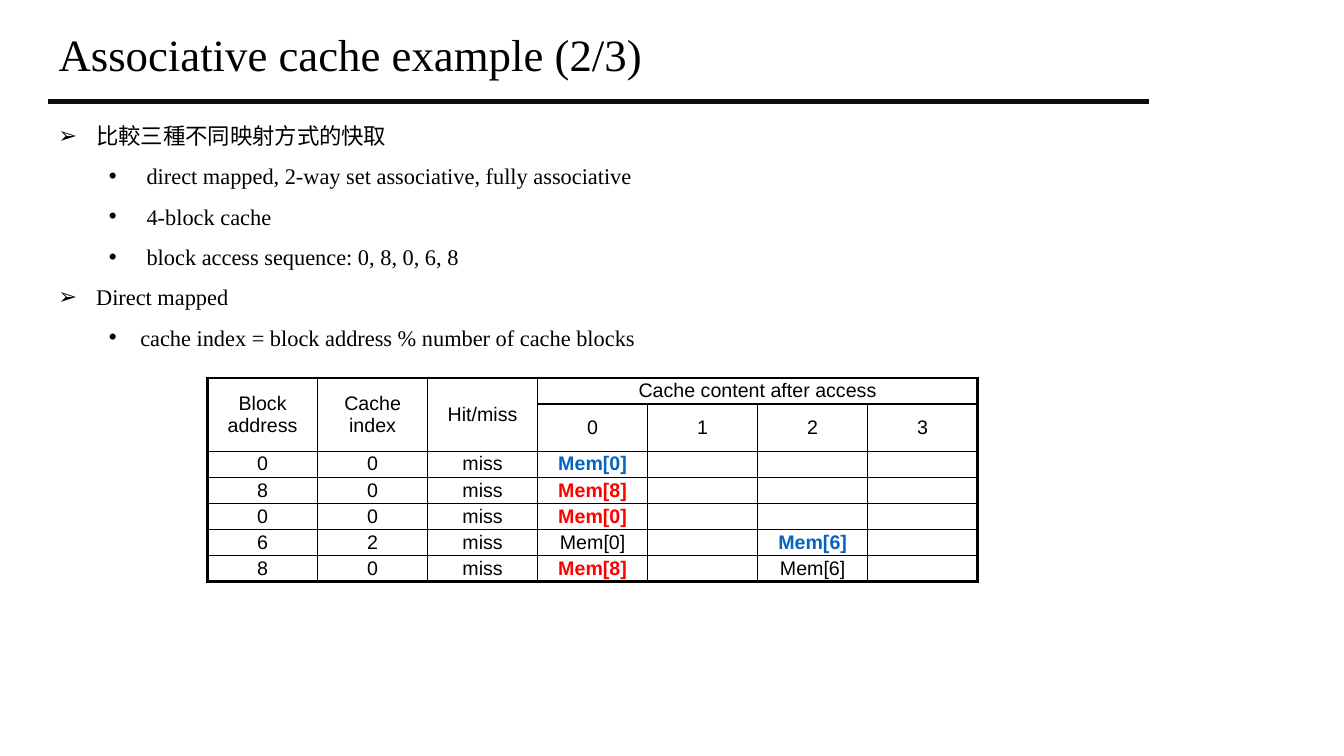
from lxml import etree
from pptx import Presentation
from pptx.dml.color import RGBColor
from pptx.enum.shapes import MSO_CONNECTOR
from pptx.enum.text import MSO_ANCHOR, MSO_AUTO_SIZE, PP_ALIGN
from pptx.oxml.ns import qn
from pptx.util import Pt

LINE = MSO_CONNECTOR.STRAIGHT
MID = MSO_ANCHOR.MIDDLE
GROW, FIXED = MSO_AUTO_SIZE.SHAPE_TO_FIT_TEXT, MSO_AUTO_SIZE.NONE
LEFT, CENTER = PP_ALIGN.LEFT, PP_ALIGN.CENTER
BLACK = RGBColor(0, 0, 0)
INK = RGBColor(0x0C, 0x0C, 0x0C)
BLUE = RGBColor(0x05, 0x63, 0xC1)
RED = RGBColor(0xFF, 0, 0)

POINTS = [
    ("比較三種不同映射方式的快取", 0, 27, 27),
    ("direct mapped, 2-way set associative, fully associative", 1, 63, 27),
    ("4-block cache", 1, 63, 27),
    ("block access sequence: 0, 8, 0, 6, 8", 1, 63, 27),
    ("Direct mapped", 0, 27, 27),
    ("cache index = block address % number of cache blocks", 1, 58.5, 22.5),
]
ROWS = [
    ["Block address", "Cache index", "Hit/miss", "Cache content after access", "", "", ""],
    ["", "", "", "0", "1", "2", "3"],
    ["0", "0", "miss", "Mem[0]", "", "", ""],
    ["8", "0", "miss", "Mem[8]", "", "", ""],
    ["0", "0", "miss", "Mem[0]", "", "", ""],
    ["6", "2", "miss", "Mem[0]", "", "Mem[6]", ""],
    ["8", "0", "miss", "Mem[8]", "", "Mem[6]", ""],
]
SPANS = [(0, 0, 1, 0), (0, 1, 1, 1), (0, 2, 1, 2), (0, 3, 0, 6)]
MARKS = {(2, 3): BLUE, (3, 3): RED, (4, 3): RED, (5, 5): BLUE, (6, 3): RED}


def put(item, **vals):
    for key, val in vals.items():
        setattr(item, key, val)


class Deck:
    """Holds the text style and the current slide."""

    def __init__(self, wide, high):
        self.prs = Presentation()
        put(self.prs, slide_width=Pt(wide), slide_height=Pt(high))
        self.slide = self.prs.slides.add_slide(self.prs.slide_layouts[5])
        self.serif = {"name": "Times New Roman", "bold": False}
        self.sans = {"name": "Arial", "bold": False}

    def label(self, para, text, size, face, color=BLACK):
        run = para.add_run()
        run.text = text
        put(run.font, size=Pt(size), **face)
        run.font.color.rgb = color

    def title(self, text, left, top, wide, high):
        shape = self.slide.shapes.title
        put(shape, left=Pt(left), top=Pt(top), width=Pt(wide), height=Pt(high))
        put(shape.text_frame, vertical_anchor=MID, word_wrap=True, auto_size=FIXED)
        para = shape.text_frame.paragraphs[0]
        put(para, alignment=LEFT, line_spacing=0.9)
        self.label(para, text, 32, self.serif)

    def rule(self, left, top, right):
        line = self.slide.shapes.add_connector(LINE, Pt(left), Pt(top), Pt(right), Pt(top))
        line.line.width = Pt(3.75)
        line.line.color.rgb = INK
        etree.SubElement(line._element.spPr, qn("a:effectLst"))

    def bullets(self, points, left, top, wide, high):
        box = self.slide.shapes.add_textbox(Pt(left), Pt(top), Pt(wide), Pt(high))
        frame = box.text_frame
        put(frame, word_wrap=True, auto_size=GROW)
        for num, (text, level, margin, hang) in enumerate(points):
            para = frame.add_paragraph() if num else frame.paragraphs[0]
            put(para, level=level, line_spacing=1.5)
            props = para._p.get_or_add_pPr()
            props.set("marL", str(Pt(margin)))
            props.set("indent", str(-Pt(hang)))
            etree.SubElement(props, qn("a:buFont"), typeface="Arial")
            etree.SubElement(props, qn("a:buChar"), char="➢•"[level])
            self.label(para, text, 16, self.serif)

    def edge(self, cell, sides):
        props = cell._tc.get_or_add_tcPr()
        for side, outer in sides.items():
            line = etree.SubElement(props, qn("a:ln" + side), w=str(Pt(2.25 if outer else 1)))
            fill = etree.SubElement(line, qn("a:solidFill"))
            etree.SubElement(fill, qn("a:srgbClr"), val=str(BLACK))

    def table(self, rows, spans, marks, left, top, col, row):
        high, wide = len(rows), len(rows[0])
        frame = self.slide.shapes.add_table(
            high, wide, Pt(left), Pt(top), Pt(col * wide), Pt(row * high))
        grid = frame.table
        put(grid, first_row=False, horz_banding=False)
        for item in grid.columns:
            item.width = Pt(col)
        for item in grid.rows:
            item.height = Pt(row)
        for y1, x1, y2, x2 in spans:
            grid.cell(y1, x1).merge(grid.cell(y2, x2))
        for y, line in enumerate(rows):
            for x, text in enumerate(line):
                cell = grid.cell(y, x)
                put(cell, vertical_anchor=MID, margin_top=0, margin_bottom=0,
                    margin_left=Pt(7.2), margin_right=Pt(7.2))
                self.edge(cell, {"L": x == 0, "R": x + cell.span_width == wide,
                                 "T": y == 0, "B": y + cell.span_height == high})
                cell.fill.background()
                para = cell.text_frame.paragraphs[0]
                put(para, alignment=CENTER, space_before=Pt(2.8))
                if text:
                    face = {**self.sans, "bold": (y, x) in marks}
                    self.label(para, text, 14, face, marks.get((y, x), BLACK))
                else:
                    etree.SubElement(para._p, qn("a:endParaRPr"), sz="1400")


def main():
    deck = Deck(960, 540)
    deck.title("Associative cache example (2/3)", 34.6, 9.4, 777.6, 61.9)
    deck.rule(34.6, 72.3, 820.8)
    deck.bullets(POINTS, 34.6, 74.2, 786.2, 178.6)
    deck.table(ROWS, SPANS, MARKS, 148.3, 270, 78.6, 18.62)
    deck.prs.save("out.pptx")


if __name__ == "__main__":
    main()
